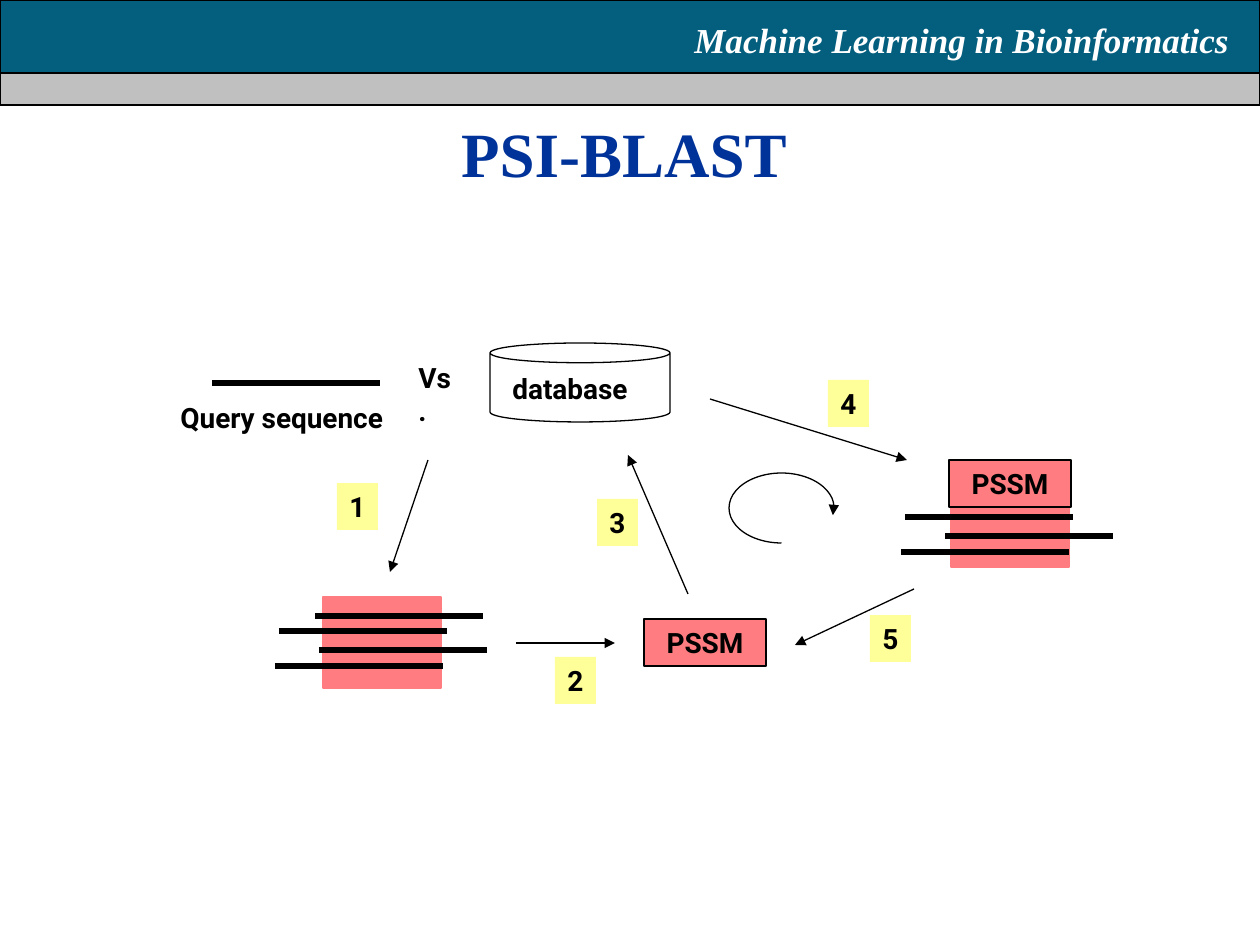
from dataclasses import dataclass
from typing import Optional

from lxml.etree import SubElement
from pptx import Presentation
from pptx.dml.color import RGBColor
from pptx.enum.shapes import MSO_CONNECTOR as Connector, MSO_SHAPE as Shape
from pptx.enum.text import MSO_ANCHOR as Anchor, PP_ALIGN as Align
from pptx.oxml.ns import qn
from pptx.util import Pt

PX = 914400 / 126
COLORS = {
    "teal": "045E7E", "gray": "C0C0C0", "pink": "FF7C80", "yellow": "FFFF99",
    "blue": "003399", "black": "000000", "white": "FFFFFF",
}
SANS, SERIF = "Roboto", "Times New Roman"
STRIPE_LENGTH = 168


@dataclass
class Box:
    left: int
    top: int
    width: int
    height: int

    def emu(self) -> list[int]:
        return [round(value * PX) for value in
                (self.left, self.top, self.width, self.height)]


@dataclass
class Step:
    """A numbered arrow of the search cycle."""
    start: tuple[int, int]
    end: tuple[int, int]
    label: tuple[int, int]


@dataclass
class Alignment:
    """Sequence stripes laid over a coloured block."""
    block: Box
    stripes: list[tuple[int, int]]


HEADER_BARS = [(Box(0, 0, 1260, 105), "teal"), (Box(0, 73, 1260, 32), "gray")]
LABELS = [
    ("database", Box(500, 365, 154, 47), False),
    ("Vs.", Box(406, 354, 64, 47), True),
    ("Query sequence", Box(168, 394, 249, 47), False),
]
STEPS = [
    Step((428, 460), (390, 572), (337, 483)),
    Step((516, 643), (615, 643), (555, 657)),
    Step((688, 594), (628, 455), (597, 499)),
    Step((710, 399), (907, 460), (828, 380)),
    Step((914, 589), (795, 645), (870, 615)),
]
ALIGNMENTS = [
    Alignment(Box(323, 597, 118, 91), [(315, 616), (279, 631), (319, 650), (275, 666)]),
    Alignment(Box(951, 508, 118, 59), [(905, 517), (945, 536), (901, 552)]),
]
MATRICES = [Box(644, 619, 122, 47), Box(949, 460, 122, 47)]


def rgb(name: str) -> RGBColor:
    return RGBColor.from_string(COLORS[name])


def style_text(frame, text: str, size: int, font: str, color: str,
               align=Align.LEFT, wrap: bool = False, italic: bool = False) -> None:
    frame.text = text
    frame.word_wrap = wrap
    paragraph = frame.paragraphs[0]
    paragraph.alignment = align
    run_font = paragraph.runs[0].font
    run_font.size, run_font.name = Pt(size), font
    run_font.bold, run_font.italic = True, italic
    run_font.color.rgb = rgb(color)


def add_shape(slide, kind, box: Box, fill: Optional[str],
              line: Optional[str] = "black"):
    shape = slide.shapes.add_shape(kind, *box.emu())
    shape.shadow.inherit = False
    if fill:
        shape.fill.solid()
        shape.fill.fore_color.rgb = rgb(fill)
    else:
        shape.fill.background()
    if line:
        shape.line.color.rgb = rgb(line)
        shape.line.width = Pt(0.75)
    else:
        shape.line.fill.background()
    return shape


def add_arrowhead(shape) -> None:
    SubElement(shape.line._get_or_add_ln(), qn("a:tailEnd"), type="triangle")


def add_line(slide, start: tuple[int, int], end: tuple[int, int], width: float):
    points = [round(value * PX) for value in (*start, *end)]
    line = slide.shapes.add_connector(Connector.STRAIGHT, *points)
    line.line.color.rgb = rgb("black")
    line.line.width = Pt(width)
    SubElement(line._element.spPr, qn("a:effectLst"))
    return line


def add_stripe(slide, left: int, y: int) -> None:
    add_line(slide, (left, y), (left + STRIPE_LENGTH, y), 3)


def add_alignment(slide, alignment: Alignment) -> None:
    add_shape(slide, Shape.RECTANGLE, alignment.block, "pink", "pink")
    for left, y in alignment.stripes:
        add_stripe(slide, left, y)


def add_step(slide, number: int, step: Step) -> None:
    add_arrowhead(add_line(slide, step.start, step.end, 0.75))
    label = add_shape(slide, Shape.RECTANGLE, Box(*step.label, 41, 47), "yellow", None)
    style_text(label.text_frame, str(number), 16, SANS, "black")


def add_label(slide, text: str, box: Box, wrap: bool) -> None:
    frame = slide.shapes.add_textbox(*box.emu()).text_frame
    style_text(frame, text, 16, SANS, "black", wrap=wrap)


def add_header(slide) -> None:
    for box, fill in HEADER_BARS:
        add_shape(slide, Shape.RECTANGLE, box, fill)
    frame = slide.shapes.add_textbox(*Box(682, 10, 578, 58).emu()).text_frame
    style_text(frame, "Machine Learning in Bioinformatics", 20, SERIF, "white",
               wrap=True, italic=True)
    frame.paragraphs[0].line_spacing = 1.06


def set_title(slide) -> None:
    title = slide.shapes.title
    title.left, title.top, title.width, title.height = Box(377, 136, 494, 32).emu()
    style_text(title.text_frame, "PSI-BLAST", 36, SERIF, "blue", Align.CENTER, wrap=True)
    title.text_frame.vertical_anchor = Anchor.MIDDLE


def add_cycle_arc(slide) -> None:
    arc = add_shape(slide, Shape.ARC, Box(729, 473, 105, 70), None)
    for index, degrees in enumerate((90, 8)):
        arc.adjustments[index] = degrees * 60000 / 100000
    add_arrowhead(arc)


def main() -> None:
    presentation = Presentation()
    presentation.slide_width = round(1260 * PX)
    presentation.slide_height = round(945 * PX)
    slide = presentation.slides.add_slide(presentation.slide_layouts[5])

    add_header(slide)
    set_title(slide)
    add_stripe(slide, 212, 383)
    database = add_shape(slide, Shape.CAN, Box(490, 343, 180, 79), "white")
    database.adjustments[0] = 0.25
    for text, box, wrap in LABELS:
        add_label(slide, text, box, wrap)
    for alignment in ALIGNMENTS:
        add_alignment(slide, alignment)
    for box in MATRICES:
        matrix = add_shape(slide, Shape.RECTANGLE, box, "pink")
        style_text(matrix.text_frame, "PSSM", 16, SANS, "black", Align.CENTER, wrap=True)
    for number, step in enumerate(STEPS, start=1):
        add_step(slide, number, step)
    add_cycle_arc(slide)

    presentation.save("out.pptx")


if __name__ == "__main__":
    main()
